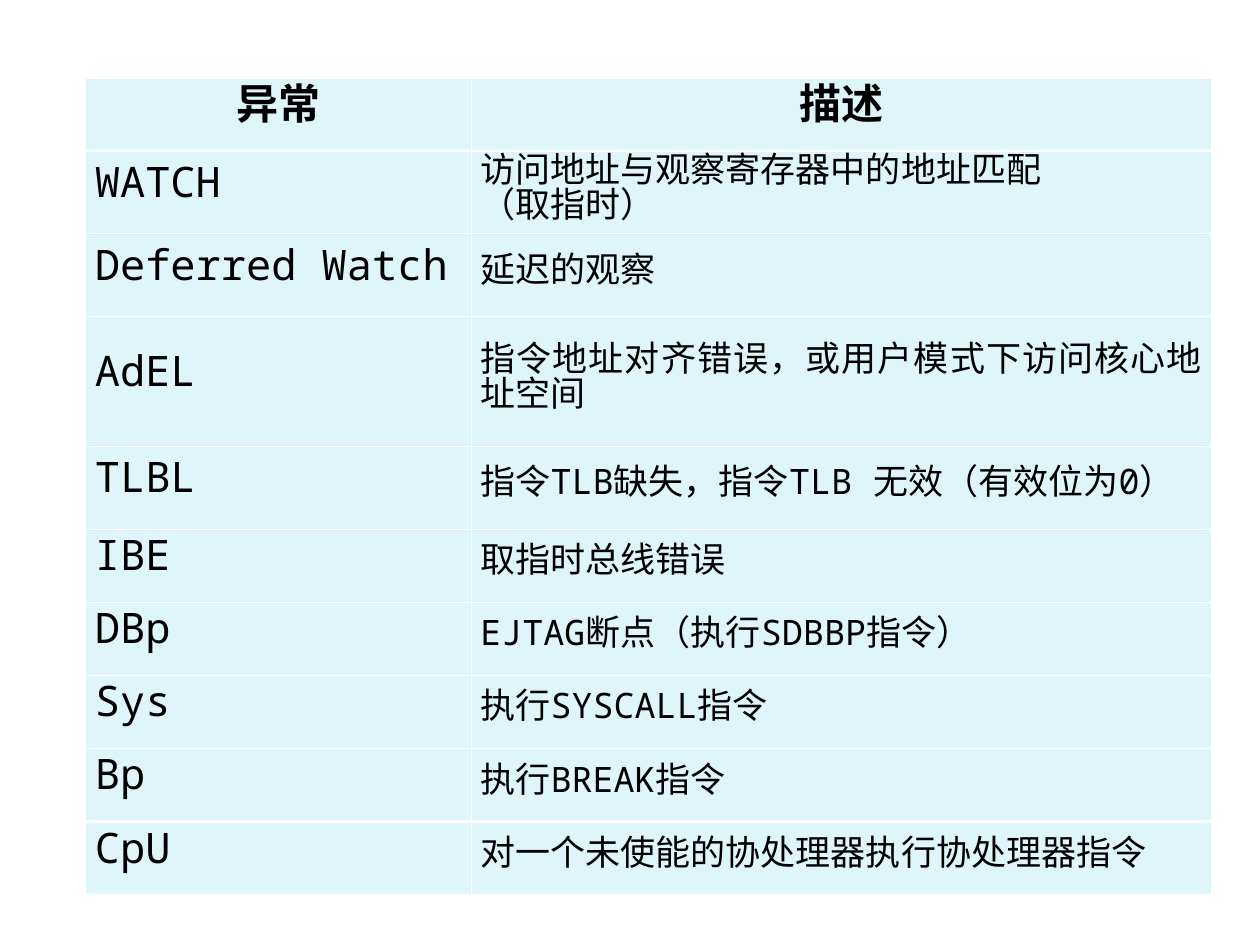
from lxml import etree
from pptx import Presentation
from pptx.dml.color import RGBColor
from pptx.enum.text import MSO_ANCHOR, PP_ALIGN
from pptx.oxml.ns import qn
from pptx.util import Pt

MIDDLE = MSO_ANCHOR.MIDDLE
LEFT, CENTER, JUSTIFY = PP_ALIGN.LEFT, PP_ALIGN.CENTER, PP_ALIGN.JUSTIFY
BLANK_LAYOUT = 6
FONT = "Noto Sans Mono"
FILL, BORDER, INK = "DEF5FA", "FFFFFF", "000000"
THIN, THICK = 0.45, 1.47

HEADINGS = ("异常", "描述")
EXCEPTIONS = [
    ("WATCH", "访问地址与观察寄存器中的地址匹配\n（取指时）"),
    ("Deferred Watch", "延迟的观察"),
    ("AdEL", "指令地址对齐错误，或用户模式下访问核心地址空间"),
    ("TLBL", "指令TLB缺失，指令TLB 无效（有效位为0）"),
    ("IBE", "取指时总线错误"),
    ("DBp", "EJTAG断点（执行SDBBP指令）"),
    ("Sys", "执行SYSCALL指令"),
    ("Bp", "执行BREAK指令"),
    ("CpU", "对一个未使能的协处理器执行协处理器指令"),
]
COLUMN_SHARES = (3.06, 5.87)
ROW_HEIGHTS = [41.8, 47.2, 47.2, 74.2, 45.4] + [41.8] * 5
THICK_BELOW = (0, 8)


def color(hex_code):
    return RGBColor.from_string(hex_code)


def write(frame, text, *, size, align, bold=False):
    """Fill a text frame, one paragraph for each line of text."""
    for index, line in enumerate(text.split("\n")):
        para = frame.add_paragraph() if index else frame.paragraphs[0]
        para.alignment = align
        para.line_spacing = Pt(20)
        span = para.add_run()
        span.text = line
        font = span.font
        font.name, font.size, font.bold = FONT, Pt(size), bold
        font.color.rgb = color(INK)
        east_asian = etree.SubElement(span._r.get_or_add_rPr(), qn("a:ea"))
        east_asian.set("typeface", FONT)


def set_borders(cell, widths):
    """Draw the cell borders; widths maps L, R, T and B to points."""
    properties = cell._tc.get_or_add_tcPr()
    for index, (side, width) in enumerate(widths.items()):
        line = etree.Element(qn(f"a:ln{side}"), w=str(Pt(width)))
        solid = etree.SubElement(line, qn("a:solidFill"))
        etree.SubElement(solid, qn("a:srgbClr"), val=BORDER)
        properties.insert(index, line)


def format_cell(cell, row):
    cell.fill.solid()
    cell.fill.fore_color.rgb = color(FILL)
    cell.vertical_anchor = MIDDLE
    cell.margin_left = cell.margin_right = Pt(5.2)
    cell.margin_top = cell.margin_bottom = Pt(3.6)
    set_borders(cell, {
        "L": THIN,
        "R": THIN,
        "T": THICK if row - 1 in THICK_BELOW else THIN,
        "B": THICK if row in THICK_BELOW else THIN,
    })


def add_exception_table(page, left, top, width):
    rows = [HEADINGS] + EXCEPTIONS
    table = page.shapes.add_table(
        len(rows), len(HEADINGS), Pt(left), Pt(top), Pt(width), Pt(sum(ROW_HEIGHTS))
    ).table
    table.horz_banding = False
    for column, share in zip(table.columns, COLUMN_SHARES):
        column.width = Pt(width * share / sum(COLUMN_SHARES))
    for row, (texts, height) in enumerate(zip(rows, ROW_HEIGHTS)):
        table.rows[row].height = Pt(height)
        for column, text in enumerate(texts):
            cell = table.cell(row, column)
            format_cell(cell, row)
            if row == 0:
                write(cell.text_frame, text, size=24, align=CENTER, bold=True)
            elif column == 0:
                write(cell.text_frame, text, size=24, align=LEFT)
            else:
                write(cell.text_frame, text, size=20, align=JUSTIFY)


def main():
    deck = Presentation()
    deck.slide_width, deck.slide_height = Pt(720), Pt(540)
    page = deck.slides.add_slide(deck.slide_layouts[BLANK_LAYOUT])
    add_exception_table(page, left=49, top=44.6, width=643)
    deck.save("out.pptx")


if __name__ == "__main__":
    main()
